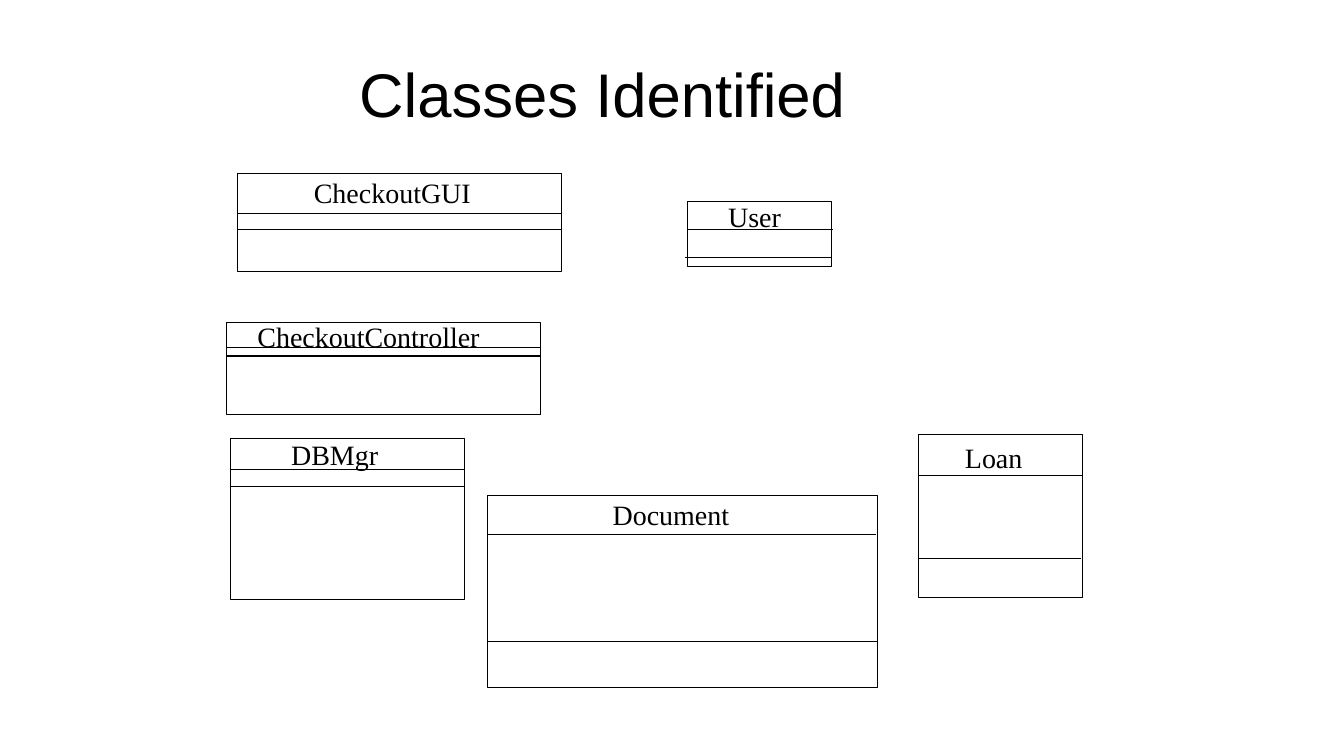
from pptx import Presentation
from pptx.dml.color import RGBColor
from pptx.enum.shapes import MSO_CONNECTOR, MSO_SHAPE
from pptx.enum.text import MSO_ANCHOR, MSO_AUTO_SIZE
from pptx.oxml.ns import qn
from pptx.util import Inches, Pt
from lxml import etree

STRAIGHT = MSO_CONNECTOR.STRAIGHT
RECTANGLE = MSO_SHAPE.RECTANGLE
MIDDLE = MSO_ANCHOR.MIDDLE
TOP = MSO_ANCHOR.TOP
GROW = MSO_AUTO_SIZE.SHAPE_TO_FIT_TEXT
FIXED = MSO_AUTO_SIZE.NONE

COLUMNS, ROWS = 26.67, 15
COLORS = {"ink": "000000"}
LABEL_HEIGHT = 0.83


class ClassDiagram:
    """Draws UML class boxes on a slide grid of 26.67 columns by 15 rows."""

    def __init__(self, deck):
        self.column = deck.slide_width / COLUMNS
        self.row = deck.slide_height / ROWS
        self.ink = RGBColor.from_string(COLORS["ink"])
        self.slide = deck.slides.add_slide(deck.slide_layouts[6])

    def place(self, x, y, width, height):
        return (round(x * self.column), round(y * self.row),
                round(width * self.column), round(height * self.row))

    def text(self, words, area, font, size, anchor=TOP, wrap=False):
        frame = self.slide.shapes.add_textbox(*self.place(*area)).text_frame
        frame.margin_left = frame.margin_right = Inches(0.1)
        frame.margin_top = frame.margin_bottom = Inches(0.1)
        frame.word_wrap = wrap
        frame.auto_size = FIXED if wrap else GROW
        frame.vertical_anchor = anchor
        frame.text = words
        style = frame.paragraphs[0].runs[0].font
        style.name, style.size = font, Pt(size)
        style.color.rgb = self.ink

    def outline(self, area, weight):
        box = self.slide.shapes.add_shape(RECTANGLE, *self.place(*area))
        box.shadow.inherit = False
        box.fill.background()
        box.line.color.rgb = self.ink
        box.line.width = Pt(weight)

    def divider(self, x, y, width, weight):
        left, top, length, _ = self.place(x, y, width, 0)
        rule = self.slide.shapes.add_connector(STRAIGHT, left, top, left + length, top)
        rule.line.color.rgb = self.ink
        rule.line.width = Pt(weight)
        etree.SubElement(rule._element.spPr, qn("a:effectLst"))

    def class_box(self, name, label, area, dividers, weight=1):
        self.outline(area, weight)
        x, y, width = label
        self.text(name, (x, y, width, LABEL_HEIGHT), "Times New Roman", 40)
        for shift, drop, length in dividers:
            self.divider(area[0] + shift, area[1] + drop, length, weight)


CLASSES = [
    ("User", (14.35, 3.86, 1.26), (13.64, 3.99, 2.86, 1.29),
     [(0.01, 0.56, 2.89), (-0.04, 1.12, 2.89)]),
    ("Document", (12.06, 9.78, 2.53), (9.68, 9.83, 7.74, 3.81),
     [(0, 0.77, 7.7), (-0.02, 2.9, 7.74)]),
    ("Loan", (19.05, 8.64, 1.36), (18.23, 8.62, 3.24, 3.24),
     [(0, 0.81, 3.24), (-0.01, 2.45, 3.24)]),
    ("DBMgr", (5.68, 8.58, 1.94), (4.58, 8.69, 4.63, 3.2),
     [(0, 0.63, 4.63), (0, 0.96, 4.63)]),
    ("CheckoutGUI", (6.13, 3.39, 3.33), (4.71, 3.44, 6.43, 1.95),
     [(0, 0.8, 6.43), (0, 1.12, 6.43)]),
    ("CheckoutController", (5.01, 6.24, 4.63), (4.5, 6.4, 6.23, 1.83),
     [(0, 0.5, 6.22), (0, 0.66, 6.22)], 2),
]


def main():
    deck = Presentation()
    deck.slide_width, deck.slide_height = Inches(COLUMNS), Inches(ROWS)
    diagram = ClassDiagram(deck)
    diagram.text("Classes Identified", (7.03, 0.6, 15.3, 2.5), "Arial", 88, MIDDLE, True)
    for uml_class in CLASSES:
        diagram.class_box(*uml_class)
    deck.save("out.pptx")


if __name__ == "__main__":
    main()
